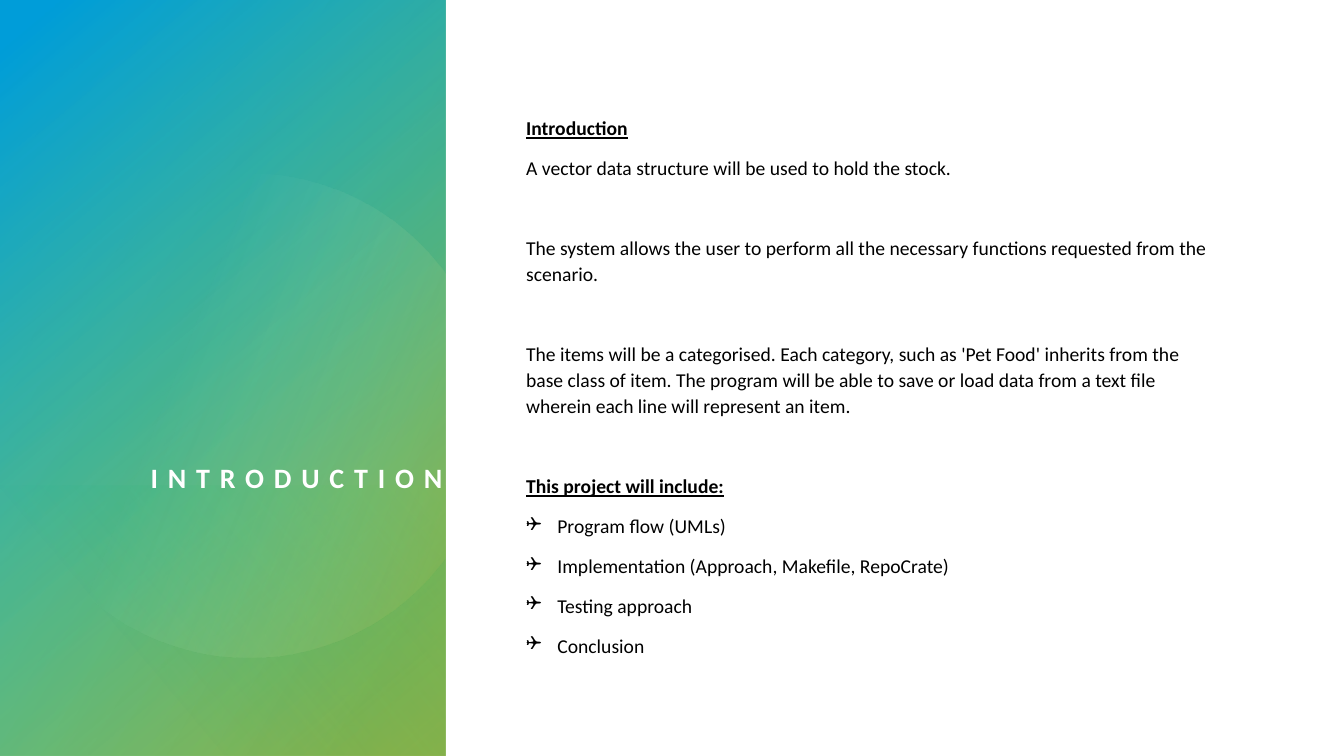
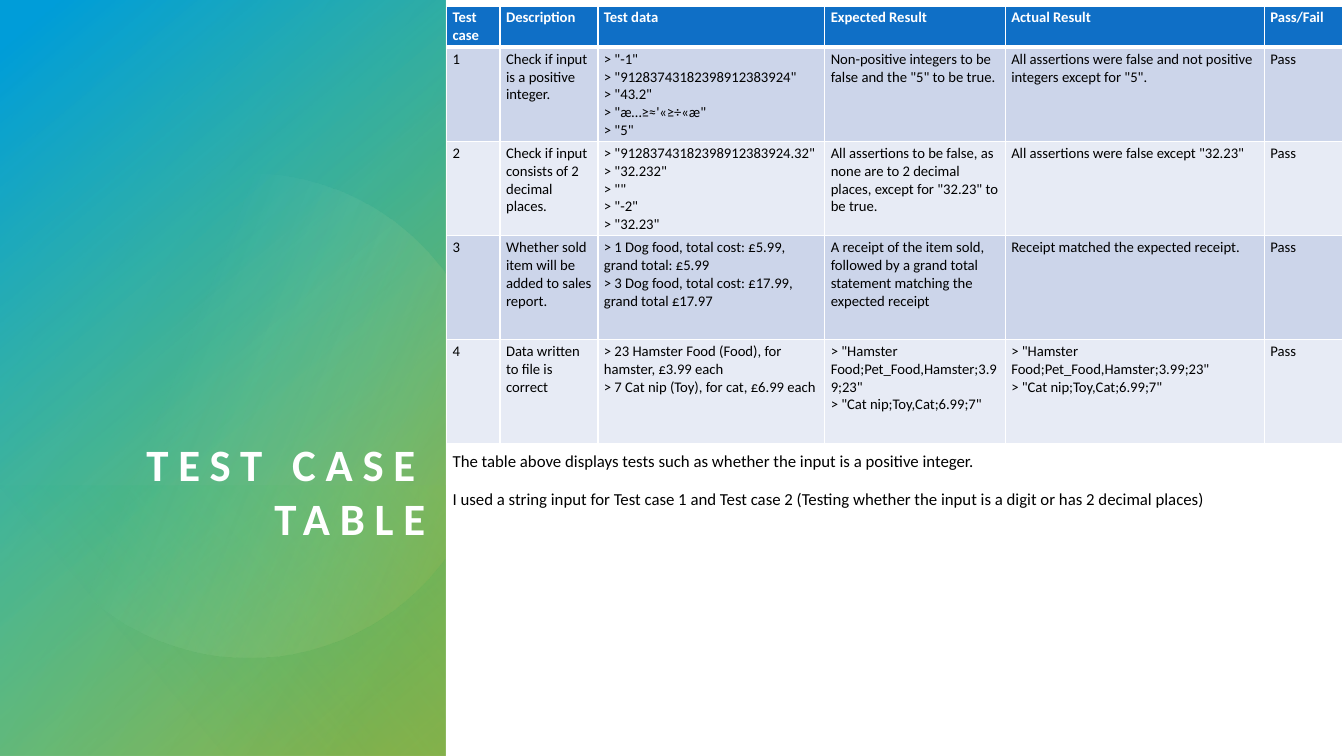
from dataclasses import dataclass
from math import acos, cos, pi, sin

from lxml import etree
from pptx import Presentation
from pptx.dml.color import RGBColor
from pptx.enum.shapes import MSO_SHAPE
from pptx.enum.text import MSO_ANCHOR, PP_ALIGN
from pptx.oxml import parse_xml
from pptx.oxml.ns import nsdecls, qn
from pptx.util import Emu, Inches, Pt

RECTANGLE = MSO_SHAPE.RECTANGLE
TOP, BOTTOM = MSO_ANCHOR.TOP, MSO_ANCHOR.BOTTOM
LEFT, RIGHT = PP_ALIGN.LEFT, PP_ALIGN.RIGHT

SLIDE_WIDTH, SLIDE_HEIGHT = Inches(13.333), Inches(7.5)
FONT = "Calibri"
WHITE, BLACK = "FFFFFF", "000000"
BLUE, TEAL, GREEN, OLIVE, MINT = "009DD9", "0EBC8C", "71B959", "96B042", "C6FBEC"
HEADER_FILL, ROW_FILLS = "0F6FC6", ("CCD5EA", "E7EBF5")
PANEL_WIDTH = 33.15  # percent of the slide's width


@dataclass(frozen=True)
class Box:
    """Left and width in percent of the slide's width, top and height of its height."""
    left: float
    top: float
    width: float
    height: float

    def emu(self) -> tuple[Emu, Emu, Emu, Emu]:
        return (across(self.left), down(self.top),
                across(self.width), down(self.height))


@dataclass(frozen=True)
class Stop:
    position: int
    colour: str
    opacity: int = 100


@dataclass(frozen=True)
class Gradient:
    angle: float
    stops: tuple[Stop, Stop]


@dataclass(frozen=True)
class Band:
    box: Box
    gradient: Gradient


@dataclass(frozen=True)
class Line:
    text: str
    heading: bool = False
    bullet: bool = False
    space_before: float = 10


PANEL = Box(0, 0, PANEL_WIDTH, 100)
BANDS = (
    Band(PANEL, Gradient(60, (Stop(8, OLIVE), Stop(100, GREEN, 72)))),
    Band(PANEL, Gradient(40, (Stop(0, TEAL, 0), Stop(96, BLUE)))),
    Band(Box(0, 64.27, PANEL_WIDTH, 35.73),
         Gradient(130, (Stop(2, GREEN, 35), Stop(67, TEAL, 0)))),
)
DISC_GRADIENT = Gradient(21.6, (Stop(39, MINT, 0), Stop(100, OLIVE, 29)))
DISC_CENTRE, DISC_RADIUS = (18.53, 54.93), 18

SECTION_GAP = 38.7
INTRODUCTION_LINES = (
    Line("Introduction", heading=True),
    Line("A vector data structure will be used to hold the stock."),
    Line("The system allows the user to perform all the necessary functions "
         "requested from the scenario.", space_before=SECTION_GAP),
    Line("The items will be a categorised. Each category, such as 'Pet Food' inherits "
         "from the base class of item. The program will be able to save or load data "
         "from a text file wherein each line will represent an item.",
         space_before=SECTION_GAP),
    Line("This project will include:", heading=True, space_before=SECTION_GAP),
    Line("Program flow (UMLs)", bullet=True),
    Line("Implementation (Approach, Makefile, RepoCrate)", bullet=True),
    Line("Testing approach", bullet=True),
    Line("Conclusion", bullet=True),
)
TABLE_NOTES = (
    Line("The table above displays tests such as whether the input is a positive integer."),
    Line("I used a string input for Test case 1 and Test case 2 "
         "(Testing whether the input is a digit or has 2 decimal places)"),
)

COLUMN_WIDTHS = (3.98, 7.28, 16.88, 13.43, 19.28, 5.85)
ROW_HEIGHTS = (5.33, 11.6, 11.6, 13.73, 13.73)
TEST_CASES = (
    ("Test case", "Description", "Test data", "Expected Result", "Actual Result",
     "Pass/Fail"),
    ("1", "Check if input is a positive integer.",
     '> "-1"\n> "91283743182398912383924"\n> "43.2"\n> "æ…≥≈\'«≥÷«æ"\n> "5"',
     'Non-positive integers to be false and the "5" to be true.',
     'All assertions were false and not positive integers except for "5".', "Pass"),
    ("2", "Check if input consists of 2 decimal places.",
     '> "91283743182398912383924.32"\n> "32.232"\n> ""\n> "-2"\n> "32.23"',
     'All assertions to be false, as none are to 2 decimal places, '
     'except for "32.23" to be true.',
     'All assertions were false except "32.23"', "Pass"),
    ("3", "Whether sold item will be added to sales report.",
     "> 1 Dog food, total cost: £5.99, grand total: £5.99\n"
     "> 3 Dog food, total cost: £17.99, grand total £17.97",
     "A receipt of the item sold, followed by a grand total statement "
     "matching the expected receipt",
     "Receipt matched the expected receipt.", "Pass"),
    ("4", "Data written to file is correct",
     "> 23 Hamster Food (Food), for hamster, £3.99 each\n"
     "> 7 Cat nip (Toy), for cat, £6.99 each",
     '> "Hamster Food;Pet_Food,Hamster;3.99;23"\n> "Cat nip;Toy,Cat;6.99;7"',
     '> "Hamster Food;Pet_Food,Hamster;3.99;23"\n> "Cat nip;Toy,Cat;6.99;7"', "Pass"),
)


def across(percent: float) -> Emu:
    return Emu(round(SLIDE_WIDTH * percent / 100))


def down(percent: float) -> Emu:
    return Emu(round(SLIDE_HEIGHT * percent / 100))


def colour(value: str) -> RGBColor:
    return RGBColor.from_string(value)


def set_values(target, values: dict) -> None:
    for name, value in values.items():
        setattr(target, name, value)


def style_run(run, size: float, hex_colour: str, **values) -> None:
    set_values(run.font, {"name": FONT, "size": Pt(size), **values})
    run.font.color.rgb = colour(hex_colour)


def apply_gradient(shape, gradient: Gradient) -> None:
    shape.shadow.inherit = False
    shape.line.fill.background()
    shape.fill.gradient()
    stops = "".join(
        f'<a:gs pos="{stop.position * 1000}"><a:srgbClr val="{stop.colour}">'
        f'<a:alpha val="{stop.opacity * 1000}"/></a:srgbClr></a:gs>'
        for stop in gradient.stops)
    fill = parse_xml(
        f'<a:gradFill {nsdecls("a")} rotWithShape="1"><a:gsLst>{stops}</a:gsLst>'
        f'<a:lin ang="{round(gradient.angle * 60000)}" scaled="0"/></a:gradFill>')
    properties = shape._element.spPr
    properties.replace(properties.find(qn("a:gradFill")), fill)


def add_band(slide, band: Band) -> None:
    """Draw a mirrored rectangle, turned a quarter so that it covers the band's box."""
    left, top, width, height = band.box.emu()
    shift = (width - height) // 2
    shape = slide.shapes.add_shape(RECTANGLE, left + shift, top - shift, height, width)
    shape.rotation = 90
    shape._element.spPr.find(qn("a:xfrm")).set("flipH", "1")
    apply_gradient(shape, band.gradient)


def add_disc(slide) -> None:
    """Draw a disc that is cut off at the panel's right edge."""
    centre_x, centre_y = across(DISC_CENTRE[0]), down(DISC_CENTRE[1])
    radius = across(DISC_RADIUS)
    start = acos((across(PANEL_WIDTH) - centre_x) / radius)
    steps = 120
    angles = [start + (2 * pi - 2 * start) * step / steps for step in range(steps + 1)]
    points = [(round(centre_x + radius * cos(angle)), round(centre_y + radius * sin(angle)))
              for angle in angles]
    builder = slide.shapes.build_freeform(*points[0])
    builder.add_line_segments(points[1:], close=True)
    apply_gradient(builder.convert_to_shape(), DISC_GRADIENT)


def add_text_frame(slide, box: Box, anchor=TOP):
    frame = slide.shapes.add_textbox(*box.emu()).text_frame
    set_values(frame, {"word_wrap": True, "vertical_anchor": anchor,
                       "margin_left": 0, "margin_top": 0,
                       "margin_right": 0, "margin_bottom": 0})
    return frame


def add_title(slide, text: str, box: Box, size: float) -> None:
    paragraph = add_text_frame(slide, box, BOTTOM).paragraphs[0]
    paragraph.alignment = RIGHT
    run = paragraph.add_run()
    run.text = text
    style_run(run, size, WHITE, bold=True)
    run.font._element.set("spc", "700")


def add_bullet(paragraph) -> None:
    properties = paragraph._p.get_or_add_pPr()
    indent = Inches(0.31)
    properties.set("marL", str(indent))
    properties.set("indent", str(-indent))
    etree.SubElement(properties, qn("a:buFont")).set("typeface", "Wingdings")
    etree.SubElement(properties, qn("a:buChar")).set("char", "❑")


def add_body(slide, lines: tuple[Line, ...], box: Box, size: float, spacing: float) -> None:
    frame = add_text_frame(slide, box)
    for index, line in enumerate(lines):
        paragraph = frame.add_paragraph() if index else frame.paragraphs[0]
        set_values(paragraph, {"alignment": LEFT, "line_spacing": spacing,
                               "space_before": Pt(line.space_before)})
        if line.bullet:
            add_bullet(paragraph)
        run = paragraph.add_run()
        run.text = line.text
        style_run(run, size, BLACK, bold=line.heading, underline=line.heading)


def set_borders(cell, row: int) -> None:
    widths = {"lnL": 1, "lnR": 1, "lnT": 3 if row == 1 else 1, "lnB": 1 if row else 3}
    properties = cell._tc.get_or_add_tcPr()
    for position, (edge, width) in enumerate(widths.items()):
        properties.insert(position, parse_xml(
            f'<a:{edge} {nsdecls("a")} w="{Pt(width)}"><a:solidFill>'
            f'<a:srgbClr val="{WHITE}"/></a:solidFill></a:{edge}>'))


def fill_cell(cell, text: str, row: int) -> None:
    set_values(cell, {"margin_left": Inches(0.06), "margin_right": Inches(0.06),
                      "margin_top": Inches(0.03), "margin_bottom": Inches(0.03)})
    cell.fill.solid()
    cell.fill.fore_color.rgb = colour(ROW_FILLS[(row - 1) % 2] if row else HEADER_FILL)
    set_borders(cell, row)
    cell.text_frame.text = text
    for paragraph in cell.text_frame.paragraphs:
        for run in paragraph.runs:
            style_run(run, 10.5, BLACK if row else WHITE, bold=row == 0)


def add_test_table(slide) -> None:
    box = Box(33.23, 0.8, sum(COLUMN_WIDTHS), sum(ROW_HEIGHTS))
    table = slide.shapes.add_table(len(ROW_HEIGHTS), len(COLUMN_WIDTHS), *box.emu()).table
    for column, width in zip(table.columns, COLUMN_WIDTHS):
        column.width = across(width)
    for row, (height, texts) in enumerate(zip(ROW_HEIGHTS, TEST_CASES)):
        table.rows[row].height = down(height)
        for column, text in enumerate(texts):
            fill_cell(table.cell(row, column), text, row)


def add_panel_slide(presentation):
    """Add a slide with the shared gradient panel on its left."""
    slide = presentation.slides.add_slide(presentation.slide_layouts[6])
    for band in BANDS:
        add_band(slide, band)
    add_disc(slide)
    return slide


def main() -> None:
    presentation = Presentation()
    set_values(presentation, {"slide_width": SLIDE_WIDTH, "slide_height": SLIDE_HEIGHT})

    # Introduction
    slide = add_panel_slide(presentation)
    add_title(slide, "INTRODUCTION", Box(6.3, 21.33, 26.63, 44), 20)
    add_body(slide, INTRODUCTION_LINES, Box(39.15, 15.07, 51.45, 84.8), 14, 1.1)

    # Test case table
    slide = add_panel_slide(presentation)
    add_title(slide, "TEST CASE TABLE", Box(5.03, 28, 26.63, 44), 32)
    add_body(slide, TABLE_NOTES, Box(33.68, 59.07, 60.9, 40), 12, 1.2)
    add_test_table(slide)

    presentation.save("out.pptx")


if __name__ == "__main__":
    main()
